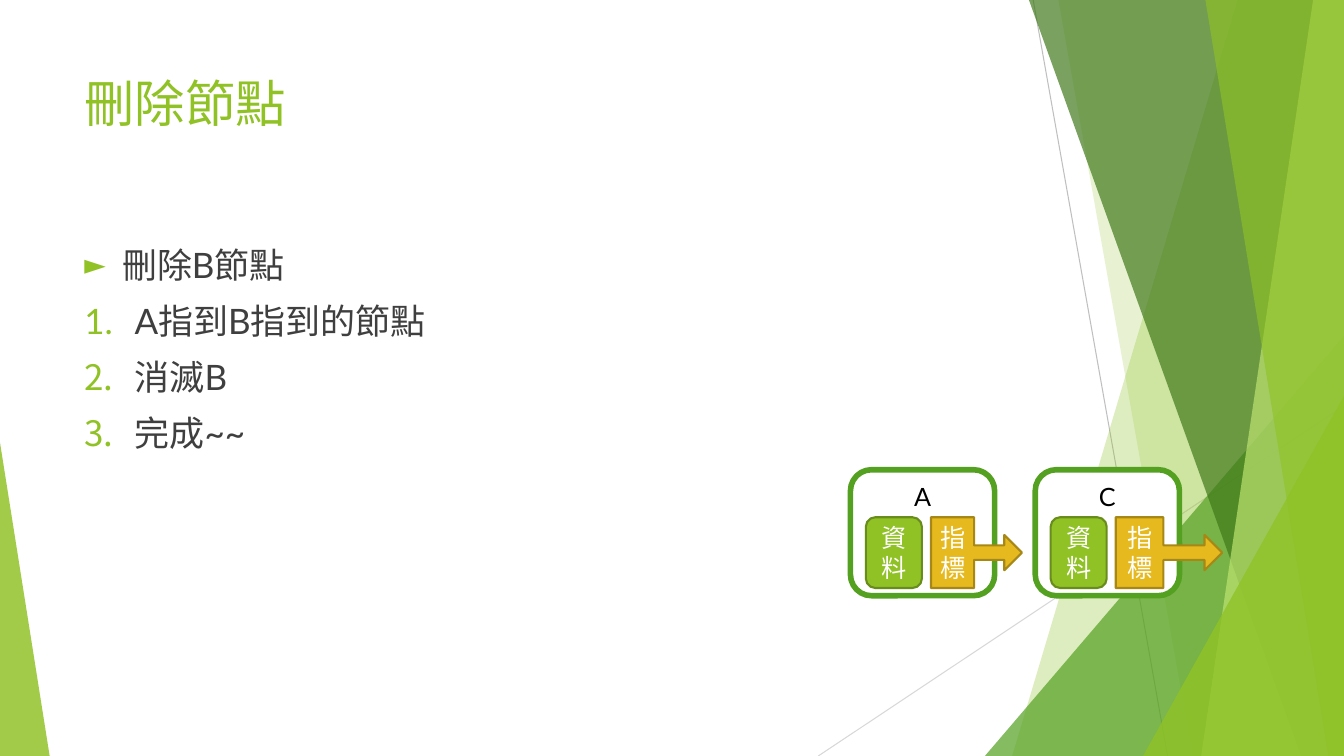
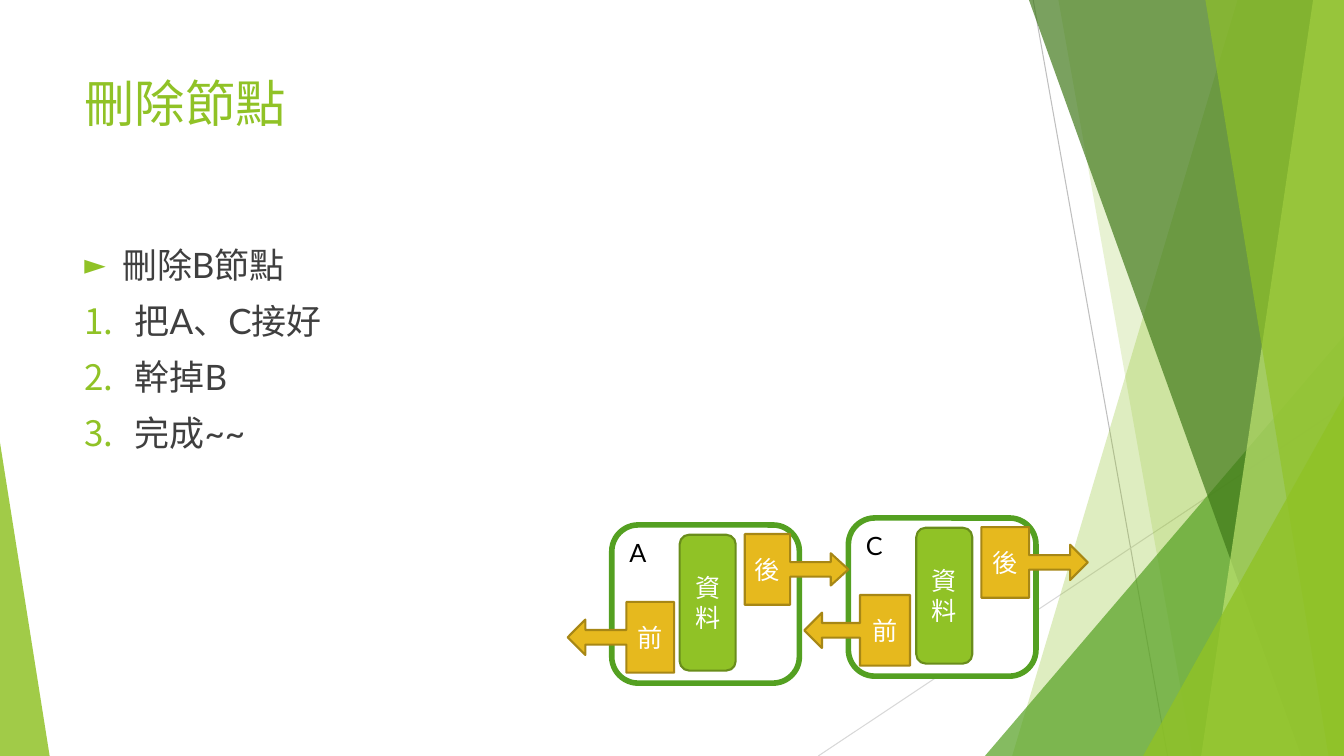
from dataclasses import dataclass

from lxml.etree import SubElement
from pptx import Presentation
from pptx.dml.color import RGBColor
from pptx.enum.shapes import MSO_CONNECTOR, MSO_SHAPE
from pptx.enum.text import MSO_ANCHOR, MSO_AUTO_SIZE, PP_ALIGN
from pptx.oxml.ns import qn
from pptx.util import Pt

SLIDE_W, SLIDE_H = 960, 540


@dataclass(frozen=True)
class Theme:
    font: str = "Lato"
    title_size: int = 36
    body_size: int = 25
    node_size: int = 18
    lime: str = "90C226"
    lime_edge: str = "698D1B"
    pale_lime: str = "BFE471"
    green: str = "54A021"
    dark_green: str = "3F7818"
    gold: str = "E6B91E"
    gold_edge: str = "A78715"
    text: str = "3F3F3F"
    white: str = "FFFFFF"
    black: str = "000000"
    gray: str = "BFBFBF"
    light_gray: str = "D8D8D8"


@dataclass(frozen=True)
class Pointer:
    """Arrow of a node: total width, share taken by its box, half head width."""
    width: float
    box: float
    head: float = 0.25


class Deck:
    """Holds the style, the presentation and the slide being drawn."""

    def __init__(self, theme):
        self.theme = theme
        self.prs = Presentation()
        self.prs.slide_width, self.prs.slide_height = Pt(SLIDE_W), Pt(SLIDE_H)
        self.layout = self.prs.slide_layouts[1]
        self.slide = None
        self.canvas = None
        self.arrange_layout()

    def arrange_layout(self):
        places = {0: (53, 48, 677, 104), 1: (53, 170, 677, 305)}
        for holder in list(self.layout.placeholders):
            place = places.get(holder.placeholder_format.idx)
            if place is None:
                holder.element.getparent().remove(holder.element)
                continue
            holder.left, holder.top, holder.width, holder.height = map(Pt, place)

    def new_slide(self):
        self.slide = self.prs.slides.add_slide(self.layout)
        self.canvas = self.slide.shapes

    def add_text(self, paragraph, text, size, color):
        run = paragraph.add_run()
        run.text = text
        run.font.name = self.theme.font
        run.font.size = Pt(size)
        run.font.color.rgb = RGBColor.from_string(color)

    def prepare_frame(self, holder):
        frame = holder.text_frame
        frame.word_wrap = True
        frame.auto_size = MSO_AUTO_SIZE.NONE
        frame.vertical_anchor = MSO_ANCHOR.TOP
        return frame

    def title(self, text):
        paragraph = self.prepare_frame(self.slide.shapes.title).paragraphs[0]
        paragraph.alignment = PP_ALIGN.LEFT
        self.add_text(paragraph, text, self.theme.title_size, self.theme.lime)

    def steps(self, task, steps):
        """Set a task with an arrow bullet and its numbered steps."""
        frame = self.prepare_frame(self.slide.placeholders[1])
        for number, text in enumerate([task, *steps]):
            paragraph = frame.add_paragraph() if number else frame.paragraphs[0]
            paragraph.space_before = Pt(10 if number else 0)
            self.bullet(paragraph, numbered=number > 0)
            self.add_text(paragraph, text, self.theme.body_size, self.theme.text)

    def bullet(self, paragraph, numbered):
        indent = Pt(36 if numbered else 27)
        props = paragraph._p.get_or_add_pPr()
        props.set("marL", str(indent))
        props.set("indent", str(-indent))
        color = SubElement(props, qn("a:buClr"))
        SubElement(color, qn("a:srgbClr"), val=self.theme.lime)
        SubElement(props, qn("a:buSzPct"), val="100000" if numbered else "80000")
        SubElement(props, qn("a:buFont"), typeface=self.theme.font)
        if numbered:
            SubElement(props, qn("a:buAutoNum"), type="arabicPeriod")
        else:
            SubElement(props, qn("a:buChar"), char="►")

    def paint(self, shape, fill, opacity=100, edge=None, edge_width=1.5):
        shape.shadow.inherit = False
        shape.fill.solid()
        shape.fill.fore_color.rgb = RGBColor.from_string(fill)
        if opacity < 100:
            color = shape.element.spPr.find(qn("a:solidFill"))[0]
            SubElement(color, qn("a:alpha"), val=str(opacity * 1000))
        if edge:
            shape.line.color.rgb = RGBColor.from_string(edge)
            shape.line.width = Pt(edge_width)
        else:
            shape.line.fill.background()

    def add_preset(self, kind, place, adjustments):
        shape = self.canvas.add_shape(kind, *map(Pt, place))
        for index, value in enumerate(adjustments):
            shape.adjustments[index] = value
        return shape

    def hairline(self, start, end, color):
        line = self.canvas.add_connector(
            MSO_CONNECTOR.STRAIGHT, *map(Pt, start + end))
        line.line.color.rgb = RGBColor.from_string(color)
        line.line.width = Pt(0.75)
        SubElement(line.element.spPr, qn("a:effectLst"))

    def shard(self, top_x, bottom_x, color, opacity):
        """Fill from a slanted left edge to the right edge of the slide."""
        outline = self.canvas.build_freeform(Pt(top_x), 0)
        corners = [(SLIDE_W, 0), (SLIDE_W, SLIDE_H), (bottom_x, SLIDE_H)]
        outline.add_line_segments([(Pt(x), Pt(y)) for x, y in corners], close=True)
        self.paint(outline.convert_to_shape(), color, opacity)

    def wedge(self, left, top, width, apex, color, opacity):
        """Stand a triangle on the bottom edge of the slide."""
        place = (left, top, width, SLIDE_H - top)
        shape = self.add_preset(MSO_SHAPE.ISOSCELES_TRIANGLE, place, [apex])
        self.paint(shape, color, opacity)

    def share_backdrop(self):
        """Draw the backdrop on the current slide, then move it to the layout."""
        t = self.theme
        self.hairline((738, 0), (834, SLIDE_H), t.gray)
        self.hairline((SLIDE_W, 290), (584.5, SLIDE_H), t.light_gray)
        self.shard(884, 723, t.lime, 29)
        self.shard(756, 852, t.lime, 20)
        self.wedge(703.5, 240, 256.5, 1, t.green, 71)
        self.shard(735, 929.5, t.dark_green, 69)
        self.shard(938, 858, t.pale_lime, 69)
        self.shard(861, 949, t.lime, 64)
        self.wedge(816.5, 283, 143.5, 1, t.lime, 80)
        self.wedge(0, 316, 35.5, 0, t.lime, 84)
        drawn = [s for s in self.slide.shapes if not s.is_placeholder]
        for position, shape in enumerate(drawn, start=2):
            self.layout.shapes.element.insert(position, shape.element)

    def label(self, shape, text, color, anchor=MSO_ANCHOR.MIDDLE,
              align=PP_ALIGN.CENTER):
        frame = shape.text_frame
        frame.word_wrap = True
        frame.vertical_anchor = anchor
        frame.paragraphs[0].alignment = align
        self.add_text(frame.paragraphs[0], text, self.theme.node_size, color)

    def node_frame(self, name, place, align):
        shape = self.add_preset(MSO_SHAPE.ROUNDED_RECTANGLE, place, [0.167])
        self.paint(shape, self.theme.white, edge=self.theme.green, edge_width=4)
        self.label(shape, name, self.theme.black, MSO_ANCHOR.TOP, align)

    def data_box(self, place):
        shape = self.add_preset(MSO_SHAPE.ROUNDED_RECTANGLE, place, [0.167])
        self.paint(shape, self.theme.lime, edge=self.theme.lime_edge)
        self.label(shape, "資料", self.theme.white)

    def pointer(self, text, left, top, pointer, kind=MSO_SHAPE.RIGHT_ARROW_CALLOUT):
        shape = self.add_preset(kind, (left, top, pointer.width, 50.5),
                                [0.206, pointer.head, 0.25, pointer.box])
        self.paint(shape, self.theme.gold, edge=self.theme.gold_edge)
        self.label(shape, text, self.theme.white)

    def single_node(self, name, left, top, link):
        self.canvas = self.slide.shapes.add_group_shape().shapes
        self.node_frame(name, (left, top, 103, 90), PP_ALIGN.CENTER)
        self.data_box((left + 11, top + 34, 40, 50.5))
        self.pointer("指標", left + 57.5, top + 34, link)

    def double_node(self, name, left, top, following, previous):
        self.canvas = self.slide.shapes.add_group_shape().shapes
        self.node_frame(name, (left, top, 134, 113), PP_ALIGN.LEFT)
        self.data_box((left + 48.5, top + 7, 40, 97))
        self.pointer("後", left + 95, top + 6.5, following)
        self.pointer("前", left - 31.5, top + 55, previous,
                     MSO_SHAPE.LEFT_ARROW_CALLOUT)


def main():
    deck = Deck(Theme())
    long_pointer = Pointer(76, 0.448)

    deck.new_slide()
    deck.share_backdrop()
    deck.title("刪除節點")
    deck.steps("刪除B節點", ["A指到B指到的節點", "消滅B", "完成~~"])
    deck.single_node("A", 607.5, 335.5, Pointer(65, 0.474))
    deck.single_node("C", 739.5, 335.5, long_pointer)

    deck.new_slide()
    deck.title("刪除節點")
    deck.steps("刪除B節點", ["把A、C接好", "幹掉B", "完成~~"])
    deck.double_node("C", 606, 370, long_pointer, Pointer(75.5, 0.473))
    deck.double_node("A", 437, 375, Pointer(74, 0.438, 0.228), long_pointer)

    deck.prs.save("out.pptx")


if __name__ == "__main__":
    main()
